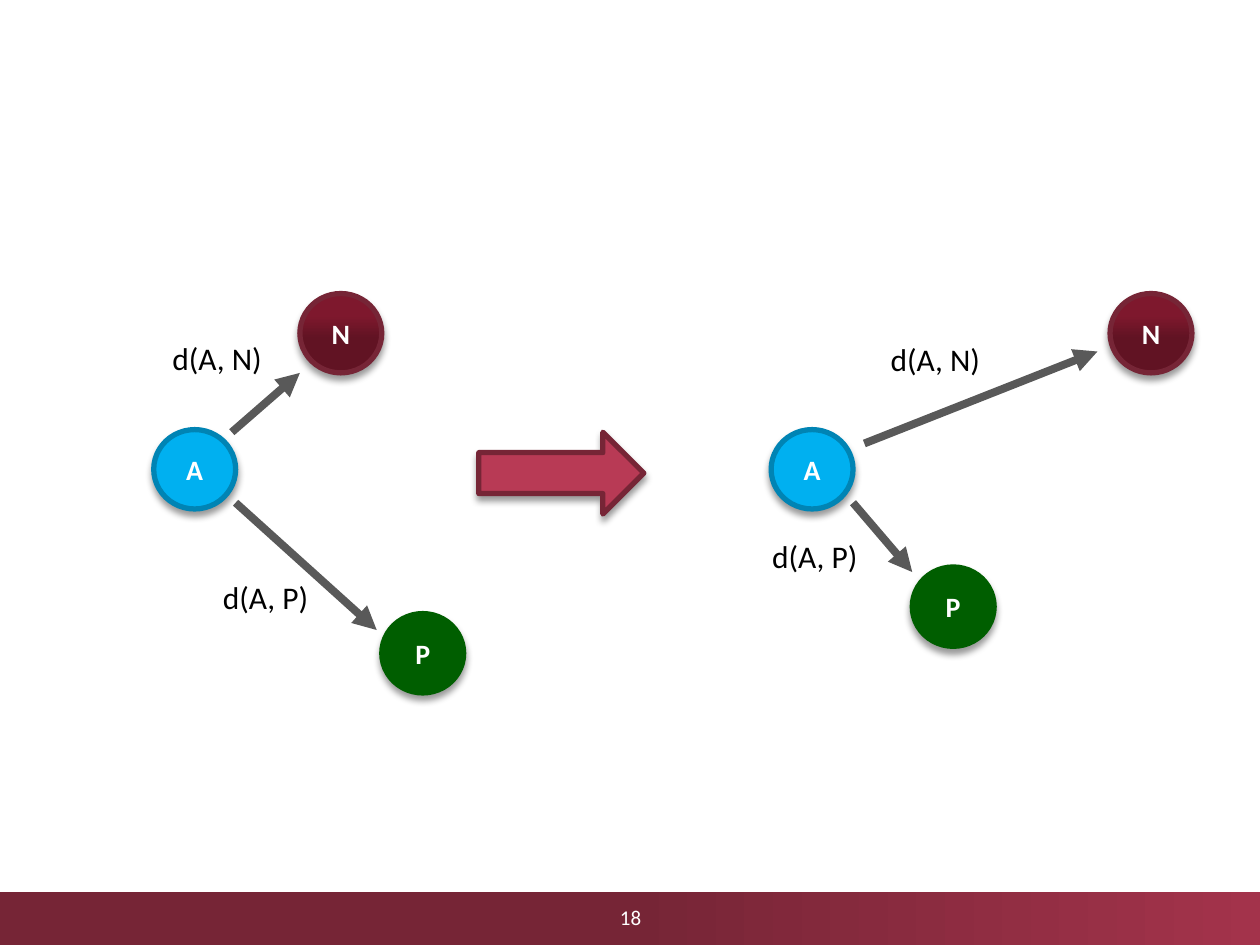
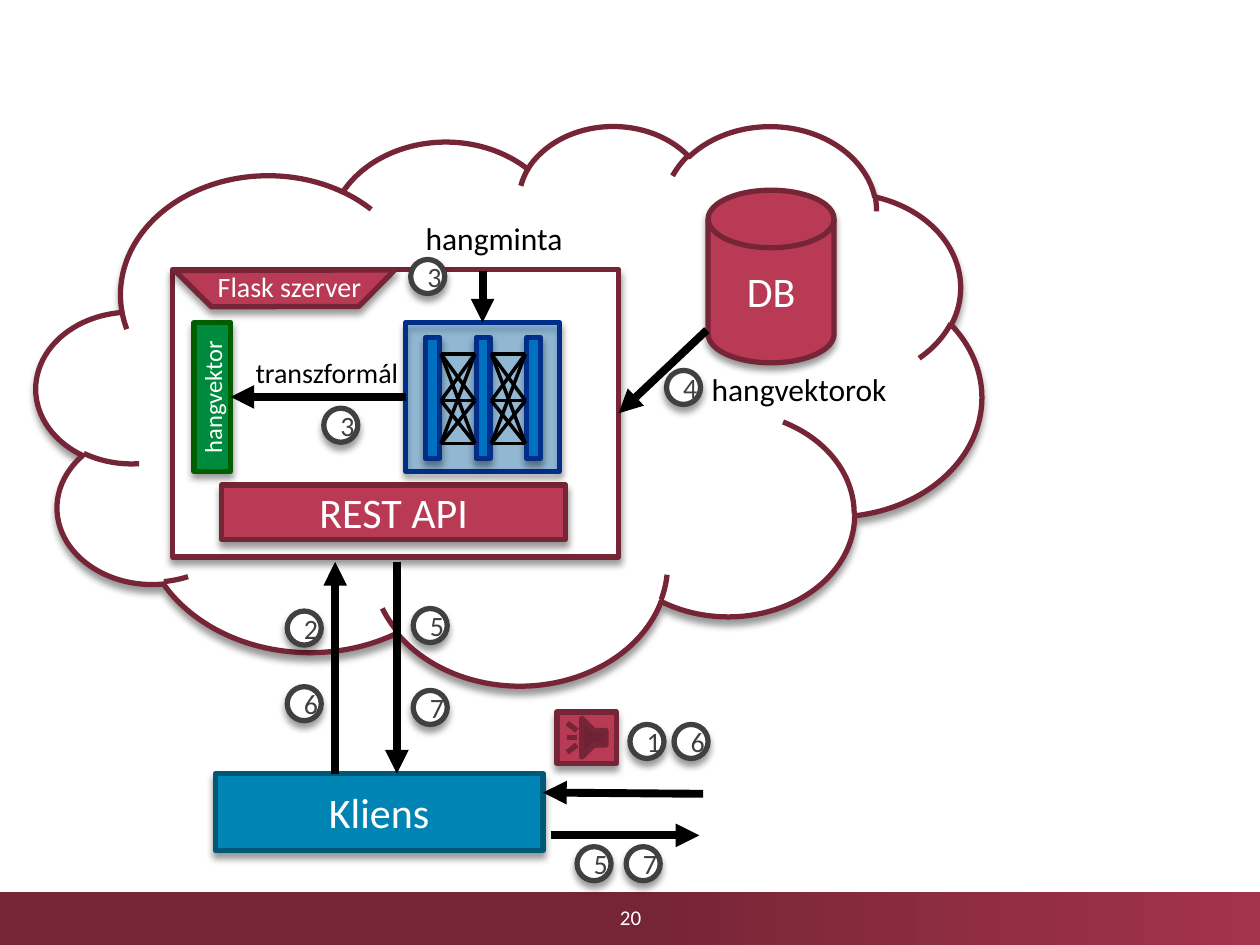
from itertools import product

from lxml import etree
from pptx import Presentation
from pptx.dml.color import RGBColor
from pptx.enum.shapes import MSO_CONNECTOR as Connector, MSO_SHAPE as Shape
from pptx.enum.text import MSO_ANCHOR as Anchor, PP_ALIGN as Align
from pptx.oxml.ns import qn
from pptx.util import Inches, Pt

FONT = "Calibri"
WHITE = RGBColor(0xFF, 0xFF, 0xFF)
BLACK = RGBColor(0x00, 0x00, 0x00)
DARK_GREY = RGBColor(0x40, 0x40, 0x40)
GREY = RGBColor(0x59, 0x59, 0x59)
WINE = RGBColor(0x76, 0x25, 0x36)
ROSE = RGBColor(0xB8, 0x3A, 0x55)
BAND_END = RGBColor(0xA3, 0x33, 0x4B)
SKY = RGBColor(0x00, 0xB0, 0xF0)
TEAL = RGBColor(0x00, 0x84, 0xB4)
DARK_TEAL = RGBColor(0x00, 0x58, 0x78)
BLUE = RGBColor(0x00, 0x70, 0xC0)
NAVY = RGBColor(0x00, 0x2E, 0x89)
GREEN = RGBColor(0x00, 0x8A, 0x3E)
DARK_GREEN = RGBColor(0x00, 0x5E, 0x00)

BAND_STOPS = [(0, WINE), (50, WINE), (100, BAND_END)]
NEGATIVE_STOPS = [(44, RGBColor(0x61, 0x13, 0x23)),
                  (72, RGBColor(0x7E, 0x18, 0x2D)),
                  (78, RGBColor(0x81, 0x16, 0x2D))]


# Shared drawing helpers; all positions and sizes are in inches
def add_child(parent, tag, **attributes):
    child = etree.SubElement(parent, qn(tag))
    for name, value in attributes.items():
        child.set(name, str(value))
    return child


def set_gradient(shape, stops, angle):
    shape.fill.gradient()
    shape.fill.gradient_angle = angle
    stop_list = shape._element.spPr.find(".//" + qn("a:gsLst"))
    for stop in list(stop_list):
        stop_list.remove(stop)
    for position, color in stops:
        stop = add_child(stop_list, "a:gs", pos=position * 1000)
        add_child(stop, "a:srgbClr", val=color)


def add_shadow(shape):
    effects = shape._element.spPr.find(qn("a:effectLst"))
    shadow = add_child(effects, "a:outerShdw", blurRad=Pt(4), dist=Pt(3),
                       dir=90 * 60000, algn="ctr", rotWithShape=0)
    color = add_child(shadow, "a:srgbClr", val=BLACK)
    add_child(color, "a:alpha", val=40000)


def write(shape, text, size, color, bold=False, align=None):
    para = shape.text_frame.paragraphs[0]
    para.text = text
    para.alignment = align
    para.font.name = FONT
    para.font.size = Pt(size)
    para.font.bold = bold
    para.font.color.rgb = color


def add_figure(page, kind, box, fill, line, text="", size=24, color=WHITE,
               bold=False):
    shape = page.shapes.add_shape(kind, *map(Inches, box))
    shape.shadow.inherit = False
    if isinstance(fill, list):
        set_gradient(shape, fill, 90)
    else:
        shape.fill.solid()
        shape.fill.fore_color.rgb = fill
    shape.line.color.rgb = line
    shape.line.width = Pt(3)
    add_shadow(shape)
    if text:
        shape.text_frame.vertical_anchor = Anchor.MIDDLE
        write(shape, text, size, color, bold, Align.CENTER)
    return shape


def add_label(page, box, text, size=18, color=BLACK, wrap=False):
    label = page.shapes.add_textbox(*map(Inches, box))
    label.text_frame.word_wrap = wrap
    write(label, text, size, color)
    return label


def add_line(page, start, end, color=BLACK, width=4.5, arrow=True):
    line = page.shapes.add_connector(Connector.STRAIGHT,
                                     *map(Inches, (*start, *end)))
    line.line.color.rgb = color
    line.line.width = Pt(width)
    if arrow:
        add_child(line.line._get_or_add_ln(), "a:tailEnd", type="triangle")
    add_child(line._element.spPr, "a:effectLst")
    return line


def add_step(page, left, top, number):
    add_figure(page, Shape.OVAL, (left, top, 0.27, 0.27), WHITE, DARK_GREY,
               str(number), 16, DARK_GREY)


def add_page(deck, number):
    page = deck.slides.add_slide(deck.slide_layouts[6])
    band = page.shapes.add_shape(Shape.RECTANGLE, 0, Inches(7.08),
                                 deck.slide_width, Inches(0.42))
    band.shadow.inherit = False
    set_gradient(band, BAND_STOPS, 0)
    band.line.fill.background()
    footer = add_label(page, (3.88, 7.08, 2.25, 0.4), str(number), 12, WHITE,
                       wrap=True)
    footer.text_frame.vertical_anchor = Anchor.MIDDLE
    footer.text_frame.paragraphs[0].alignment = Align.CENTER
    return page


# Slide 18: distances before and after training
def draw_triplet(page, left, top, nodes, arrows, labels):
    """Nodes, arrows and labels are offsets from the region's corner."""
    styles = {"N": (NEGATIVE_STOPS, WINE), "A": (SKY, TEAL),
              "P": (DARK_GREEN, DARK_GREEN)}
    for name, (x, y) in nodes.items():
        add_figure(page, Shape.OVAL, (left + x, top + y, 0.65, 0.63),
                   *styles[name], name, 16, bold=True)
    for x1, y1, x2, y2 in arrows:
        add_line(page, (left + x1, top + y1), (left + x2, top + y2), GREY)
    for name, (x, y) in labels.items():
        add_label(page, (left + x, top + y, 0.92, 0.4), f"d(A, {name})")


def build_triplet_page(deck):
    page = add_page(deck, 18)
    draw_triplet(page, 1.22, 2.33,
                 {"N": (1.16, 0), "A": (0, 1.08), "P": (1.81, 2.54)},
                 [(0.65, 1.66, 1.77, 2.67), (0.62, 1.1, 1.16, 0.63)],
                 {"N": (0.05, 0.31), "P": (0.45, 2.21)})
    draw_triplet(page, 6.12, 2.33,
                 {"N": (2.69, 0), "A": (0, 1.08), "P": (1.12, 2.17)},
                 [(0.65, 1.66, 1.12, 2.21), (0.74, 1.19, 2.59, 0.46)],
                 {"N": (0.85, 0.32), "P": (-0.09, 1.88)})
    add_figure(page, Shape.RIGHT_ARROW, (3.8, 3.43, 1.31, 0.65), ROSE, WINE)


# Slide 20: system architecture
def draw_network(page, left, top):
    frame = add_figure(page, Shape.RECTANGLE, (left, top, 1.22, 1.18),
                       BLUE, NAVY)
    fill_color = frame._element.spPr.find(qn("a:solidFill"))[0]
    add_child(fill_color, "a:alpha", val=34000)
    for layer in range(3):
        add_figure(page, Shape.RECTANGLE,
                   (left + 0.16 + 0.4 * layer, top + 0.12, 0.11, 0.96),
                   BLUE, NAVY)
    levels = (0.25, 0.62, 0.96)
    for x, start, end in product((0.28, 0.68), levels, levels):
        add_line(page, (left + x, top + start), (left + x + 0.27, top + end),
                 width=2, arrow=False)
    return frame


def draw_server(page, left, top):
    server = add_figure(page, Shape.RECTANGLE, (left, top, 3.54, 2.28),
                        WHITE, WINE)
    add_figure(page, Shape.RECTANGLE, (left + 0.39, top + 1.71, 2.73, 0.43),
               ROSE, WINE, "REST API")
    network = draw_network(page, left + 1.85, top + 0.42)

    # Voice vector, written bottom to top
    vector = add_figure(page, Shape.RECTANGLE,
                        (left + 0.17, top + 0.42, 0.29, 1.18),
                        GREEN, DARK_GREEN, "hangvektor", 14)
    vector._element.txBody.bodyPr.set("vert", "vert270")
    frame = vector.text_frame
    frame.margin_left = frame.margin_right = 0
    frame.margin_top = frame.margin_bottom = 0

    # Sample into the network, vector out of it
    sample = add_line(page, (left + 2.46, top + 0.01),
                      (left + 2.46, top + 0.42))
    sample.end_connect(network, 0)
    transform = add_line(page, (left + 1.85, top + 1.01),
                         (left + 0.46, top + 1.01))
    transform.begin_connect(network, 1)
    transform.end_connect(vector, 3)

    # Server name plate
    plate = add_figure(page, Shape.DIAGONAL_STRIPE,
                       (left + 0.27, top - 0.61, 1.24, 1.23), ROSE, WINE)
    plate.adjustments[0] = 0.67
    plate.rotation = 224.6
    add_label(page, (left + 0.26, top - 0.05, 1.57, 0.37), "Flask szerver",
              16, WHITE, wrap=True)
    add_label(page, (left + 0.56, top + 0.63, 1.35, 0.37), "transzformál", 16)
    add_label(page, (left + 1.91, top - 0.45, 1.3, 0.4), "hangminta")
    add_step(page, left + 1.89, top - 0.08, 3)
    add_step(page, left + 1.2, top + 1.1, 3)
    return server


def draw_database(page, left, top, server):
    add_figure(page, Shape.FLOWCHART_MAGNETIC_DISK, (left, top, 1, 1.37),
               ROSE, WINE, "DB")
    query = add_line(page, (left - 0.01, top + 1.11),
                     (left - 0.71, top + 1.77))
    query.end_connect(server, 3)
    add_label(page, (left - 0.07, top + 1.38, 1.6, 0.4), "hangvektorok")
    add_step(page, left - 0.33, top + 1.43, 4)


def draw_client(page, left, top):
    add_figure(page, Shape.RECTANGLE, (left, top, 2.6, 0.61), TEAL, DARK_TEAL,
               "Kliens")

    # Traffic with the server
    add_line(page, (left + 0.95, top), (left + 0.95, top - 1.68))
    add_line(page, (left + 1.44, top - 1.68), (left + 1.44, top))

    # Traffic with the user
    add_line(page, (left + 3.87, top + 0.16), (left + 2.6, top + 0.15))
    add_line(page, (left + 2.66, top + 0.49), (left + 3.84, top + 0.49))
    sound = add_figure(page, Shape.ACTION_BUTTON_SOUND,
                       (left + 2.71, top - 0.49, 0.47, 0.41), ROSE, WINE)
    sound.rotation = 180

    steps = [(0.57, -1.29, 2), (0.57, -0.69, 6), (1.57, -1.31, 5),
             (1.57, -0.66, 7), (3.29, -0.39, 1), (3.64, -0.39, 6),
             (2.87, 0.58, 5), (3.26, 0.58, 7)]
    for x, y, number in steps:
        add_step(page, left + x, top + y, number)


def build_architecture_page(deck):
    page = add_page(deck, 20)
    add_figure(page, Shape.CLOUD, (0.29, 0.99, 7.5, 4.44), WHITE, WINE)
    server = draw_server(page, 1.37, 2.14)
    draw_database(page, 5.62, 1.51, server)
    draw_client(page, 1.71, 6.14)


def main():
    deck = Presentation()
    deck.slide_width = Inches(10)
    deck.slide_height = Inches(7.5)
    build_triplet_page(deck)
    build_architecture_page(deck)
    deck.save("out.pptx")


if __name__ == "__main__":
    main()
